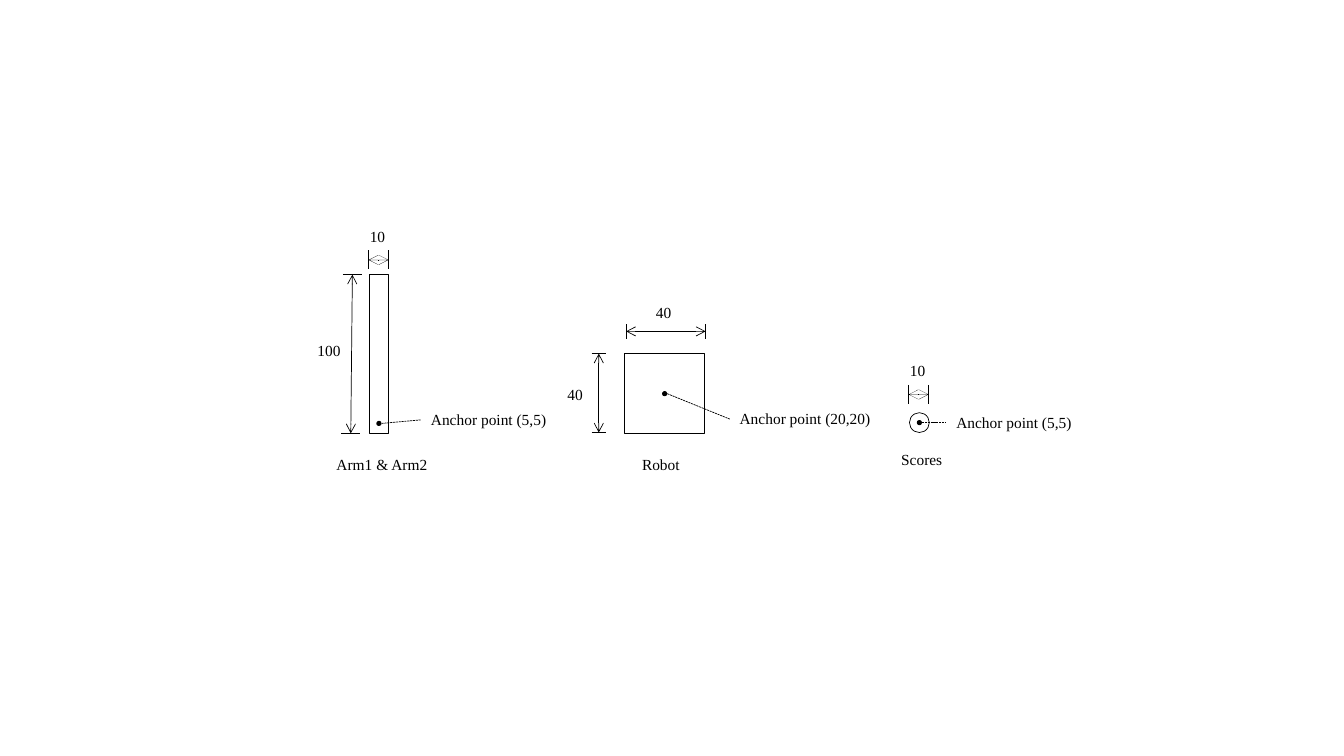
from pptx import Presentation
from pptx.dml.color import RGBColor
from pptx.enum.dml import MSO_LINE
from pptx.enum.shapes import MSO_CONNECTOR, MSO_SHAPE
from pptx.enum.text import MSO_AUTO_SIZE
from pptx.oxml.ns import qn
from pptx.util import Cm, Pt
from lxml.etree import SubElement

INK = RGBColor.from_string("000000")
DOT = 0.13
TALL = 0.74  # height of a label
HAIR = 0.01  # thinnest line, in points

deck = Presentation()
deck.slide_width, deck.slide_height = Cm(33.87), Cm(19.05)
slide = deck.slides.add_slide(deck.slide_layouts[6])
shapes = slide.shapes


def add_line(x1, y1, x2, y2, width=0.5, arrows=False):
    line = shapes.add_connector(MSO_CONNECTOR.STRAIGHT, Cm(x1), Cm(y1), Cm(x2), Cm(y2))
    line.line.color.rgb = INK
    line.line.width = Pt(width)
    if arrows:
        for end in ("a:headEnd", "a:tailEnd"):
            SubElement(line._element.spPr.find(qn("a:ln")), qn(end)).set("type", "arrow")
    SubElement(line._element.spPr, qn("a:effectLst"))
    return line


def add_label(text, left, top, width, wrap=False):
    box = shapes.add_textbox(Cm(left), Cm(top), Cm(width), Cm(TALL))
    frame = box.text_frame
    frame.word_wrap = wrap
    frame.auto_size = MSO_AUTO_SIZE.SHAPE_TO_FIT_TEXT
    frame.text = text
    font = frame.paragraphs[0].runs[0].font
    font.name, font.size = "Times New Roman", Pt(11)
    font.color.rgb = INK
    return box


# Parts: outline, left, top, width, height, anchor from bottom left
parts = [
    (MSO_SHAPE.RECTANGLE, 9.3, 6.92, 0.5, 4, 0.25),
    (MSO_SHAPE.RECTANGLE, 15.74, 8.91, 2.02, 2.02, 1.01),
    (MSO_SHAPE.OVAL, 22.92, 10.4, 0.5, 0.5, 0.25),
]
dots = []
for kind, left, top, wide, high, anchor in parts:
    part = shapes.add_shape(kind, Cm(left), Cm(top), Cm(wide), Cm(high))
    part.shadow.inherit = False
    part.fill.background()
    part.line.color.rgb = INK
    part.line.width = Pt(0.5)

    x, y = left + anchor, top + high - anchor
    dot = shapes.add_shape(MSO_SHAPE.OVAL, Cm(x - DOT / 2), Cm(y - DOT / 2), Cm(DOT), Cm(DOT))
    dot.shadow.inherit = False
    dot.fill.solid()
    dot.fill.fore_color.rgb = INK
    dot.line.fill.background()
    dots.append((x + DOT / 2, y))

# Upright sizes: top point, bottom point, half a tick
for x1, y1, x2, y2, half in [
    (8.88, 6.92, 8.84, 10.92, 0.24),
    (15.09, 8.91, 15.09, 10.9, 0.18),
]:
    add_line(x1, y1, x2, y2, arrows=True)
    for x, y in ((x1, y1), (x2, y2)):
        add_line(x - half, y, x + half, y)

# Level sizes: left, right, height on the slide, half a tick, line width
for x1, x2, y, half, width in [
    (9.29, 9.79, 6.55, 0.24, HAIR),
    (15.78, 17.78, 8.35, 0.18, 0.5),
    (22.9, 23.4, 9.94, 0.24, HAIR),
]:
    add_line(x2, y, x1, y, width, arrows=True)
    for x in (x1, x2):
        add_line(x, y - half, x, y + half)

# Size figures and names
for text, left, top, width in [
    ("100", 7.75, 8.48, 1.09),
    ("10", 9.07, 5.61, 0.91),
    ("40", 14.05, 9.58, 0.91),
    ("40", 16.28, 7.52, 0.91),
    ("10", 22.68, 8.98, 0.91),
    ("Arm1 & Arm2", 8.23, 11.35, 2.84),
    ("Robot", 15.93, 11.35, 1.47),
]:
    add_label(text, left, top, width)
add_label("Scores", 22.46, 11.23, 1.55, wrap=True)

# Anchor notes with dashed leaders
notes = [
    ("Anchor point (5,5)", 10.61, 10.21, 3.43),
    ("Anchor point (20,20)", 18.39, 10.19, 3.84),
    ("Anchor point (5,5)", 23.85, 10.28, 3.43),
]
for (x, y), (text, left, top, width) in zip(dots, notes):
    note = add_label(text, left, top, width)
    lead = add_line(x, y, left, top + TALL / 2)
    lead.line.dash_style = MSO_LINE.SQUARE_DOT
    lead.end_connect(note, 1)

deck.save("out.pptx")
